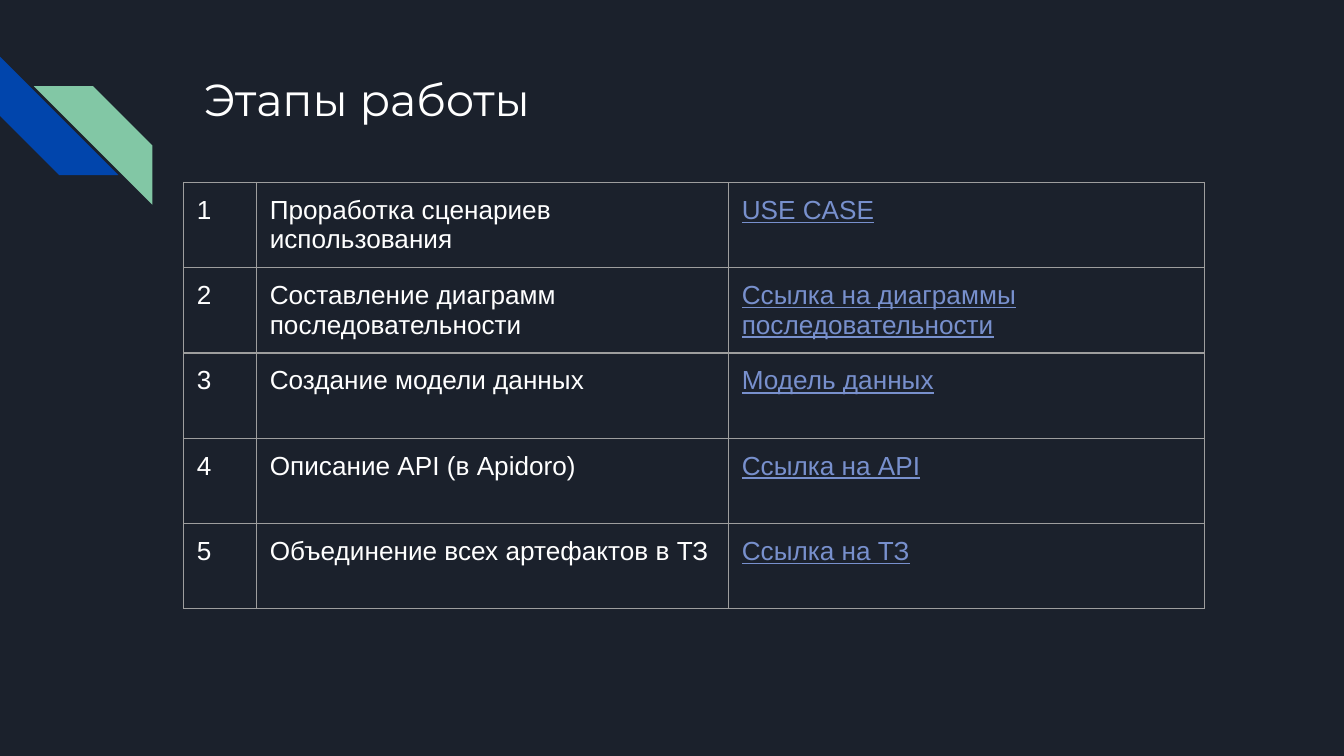
from lxml.etree import SubElement
from pptx import Presentation
from pptx.dml.color import RGBColor
from pptx.enum.shapes import MSO_SHAPE as Shape
from pptx.enum.text import MSO_ANCHOR as Anchor, PP_ALIGN as Align
from pptx.oxml.ns import qn
from pptx.util import Cm, Pt

NIGHT = RGBColor(0x1B, 0x21, 0x2C)
BLUE = RGBColor(0x01, 0x45, 0xAC)
GREEN = RGBColor(0x82, 0xC7, 0xA5)
WHITE = RGBColor(0xFF, 0xFF, 0xFF)
LINK = RGBColor(0x78, 0x90, 0xCD)
GRID = RGBColor(0x9E, 0x9E, 0x9E)

INSET = Cm(0.25)
COLUMN_WIDTHS = (1.38, 8.92, 8.99)
ROW_HEIGHT = 1.61

STAGES = [
    ("Проработка сценариев использования", "USE CASE"),
    ("Составление диаграмм последовательности",
     "Cсылка на диаграммы последовательности"),
    ("Создание модели данных", "Модель данных"),
    ("Описание API (в Apidoro)", "Ссылка на API"),
    ("Объединение всех артефактов в ТЗ", "Ссылка на ТЗ"),
]


class StageSlide:
    """Holds the deck style and the current slide."""

    title_font, body_font = "Montserrat", "Arial"
    title_size, body_size = Pt(24), Pt(14)

    def __init__(self, deck):
        self.slide = deck.slides.add_slide(deck.slide_layouts[5])
        background = self.slide.background.fill
        background.solid()
        background.fore_color.rgb = NIGHT

    def stripe(self, left, top, size, rotation, color):
        stripe = self.slide.shapes.add_shape(
            Shape.DIAGONAL_STRIPE, Cm(left), Cm(top), Cm(size), Cm(size))
        stripe.adjustments[0] = 0.5
        stripe.rotation = rotation
        stripe.shadow.inherit = False
        stripe.fill.solid()
        stripe.fill.fore_color.rgb = color
        stripe.line.fill.background()

    def title(self, text, left, top, width, height):
        title = self.slide.shapes.title
        title.left, title.top = Cm(left), Cm(top)
        title.width, title.height = Cm(width), Cm(height)
        frame = title.text_frame
        frame.text = text
        frame.word_wrap = True
        frame.vertical_anchor = Anchor.TOP
        frame.margin_left = frame.margin_right = INSET
        frame.margin_top = frame.margin_bottom = INSET
        self.format(frame, self.title_font, self.title_size, WHITE)

    def format(self, frame, font_name, size, color, underline=False):
        for paragraph in frame.paragraphs:
            paragraph.alignment = Align.LEFT
            for run in paragraph.runs:
                run.font.name = font_name
                run.font.size = size
                run.font.color.rgb = color
                run.font.underline = underline

    def table(self, rows, left, top, widths, row_height):
        frame = self.slide.shapes.add_table(
            len(rows), len(widths), Cm(left), Cm(top),
            Cm(sum(widths)), Cm(row_height * len(rows)))
        grid = frame.table
        grid.first_row = grid.horz_banding = False
        for column, width in zip(grid.columns, widths):
            column.width = Cm(width)
        for row, texts in zip(grid.rows, rows):
            row.height = Cm(row_height)
            for position, (cell, text) in enumerate(zip(row.cells, texts)):
                self.cell(cell, text, is_link=position == len(texts) - 1)

    def cell(self, cell, text, is_link):
        cell.text_frame.text = text
        cell.margin_left = cell.margin_right = INSET
        cell.margin_top = cell.margin_bottom = INSET
        self.format(cell.text_frame, self.body_font, self.body_size,
                    LINK if is_link else WHITE, underline=is_link)
        # Borders come before the fill in the cell properties
        properties = cell._tc.get_or_add_tcPr()
        for side in ("a:lnL", "a:lnR", "a:lnT", "a:lnB"):
            border = SubElement(properties, qn(side), w=str(Pt(0.75)))
            fill = SubElement(border, qn("a:solidFill"))
            SubElement(fill, qn("a:srgbClr"), val=str(GRID))
        cell.fill.background()


def main():
    deck = Presentation()
    deck.slide_width, deck.slide_height = Cm(25.4), Cm(14.29)
    page = StageSlide(deck)

    # Corner decoration
    page.stripe(0, 1.07, 2.24, 270, BLUE)
    page.stripe(0.64, 1.63, 2.24, 90, GREEN)

    # Heading
    page.title("Этапы работы", 3.61, 1.1, 19.56, 2.54)

    # Numbered stages with their links
    rows = [(str(number), stage, link)
            for number, (stage, link) in enumerate(STAGES, 1)]
    page.table(rows, 3.47, 3.45, COLUMN_WIDTHS, ROW_HEIGHT)

    deck.save("out.pptx")


if __name__ == "__main__":
    main()
